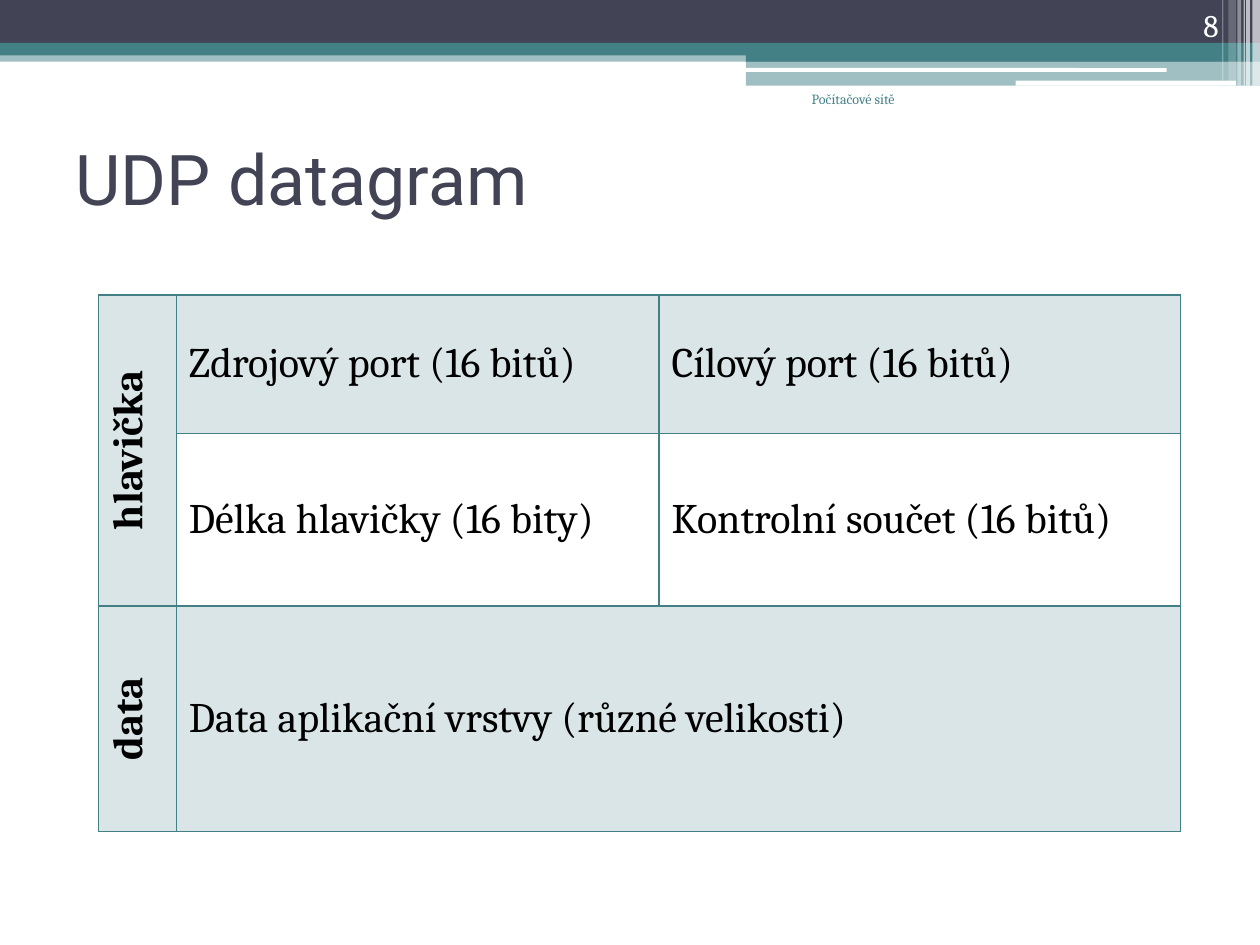
from dataclasses import dataclass

from lxml import etree
from pptx import Presentation, util as u
from pptx.dml.color import RGBColor
from pptx.enum import shapes, text
from pptx.oxml.ns import qn


@dataclass(frozen=True)
class Theme:
    """Colours, fonts and type sizes of the slide."""
    dark: str = "424456"
    teal: str = "438086"
    white: str = "FFFFFF"
    black: str = "000000"
    heading_font: str = "Roboto"
    body_font: str = "Cambria"
    title: int = 40
    cell: int = 24
    number: int = 18
    footer: int = 8


@dataclass(frozen=True)
class Box:
    """A rectangle on a grid of 100 columns and 75 rows."""
    left: float
    top: float
    width: float
    height: float

    def inner(self, left, top, width, height):
        """Return a box placed relative to this one."""
        return Box(self.left + left, self.top + top, width, height)

    def lengths(self):
        """Return left, top, width and height as slide lengths."""
        return [cells(n) for n in (self.left, self.top, self.width, self.height)]


THEME = Theme()
COLUMNS, ROWS = 100, 75
SLIDE_WIDTH = u.Inches(10)
RECT, ROUNDED = shapes.MSO_SHAPE.RECTANGLE, shapes.MSO_SHAPE.ROUNDED_RECTANGLE


def cells(count):
    """Convert grid cells to a slide length."""
    return u.Emu(round(SLIDE_WIDTH * count / COLUMNS))


def paint(fill, properties, colour, opacity=100):
    """Fill with a colour at the given opacity in percent."""
    fill.solid()
    fill.fore_color.rgb = RGBColor.from_string(colour)
    if opacity < 100:
        solid = properties.find(qn("a:solidFill"))
        etree.SubElement(solid[0], qn("a:alpha"), val=str(opacity * 1000))


def write(frame, words, size, colour, font=THEME.body_font, bold=False,
          align=text.PP_ALIGN.LEFT):
    """Write one formatted paragraph."""
    frame.text = words
    paragraph = frame.paragraphs[0]
    paragraph.alignment = align
    style = paragraph.runs[0].font
    style.name, style.size, style.bold = font, u.Pt(size), bold
    style.color.rgb = RGBColor.from_string(colour)


def add_band(slide, box, colour, opacity=100, outline=RECT):
    """Add one plain band of the header."""
    band = slide.shapes.add_shape(outline, *box.lengths())
    band.shadow.inherit = False
    band.line.fill.background()
    paint(band.fill, band.element.spPr, colour, opacity)


def add_header(slide, box):
    """Draw the layered bands and the pale stripes at their right end."""
    step = 59.2
    bands = [
        (0, 4, box.width, 0.9, THEME.teal, 50, RECT),
        (0, 0, box.width, 3.4, THEME.dark, 100, RECT),
        (0, 3.4, box.width, 1, THEME.teal, 100, RECT),
        (step, 3.9, box.width - step, 1, THEME.teal, 100, RECT),
        (step, 4.8, box.width - step, 2, THEME.teal, 50, RECT),
        (59.1, 5.4, 33.5, 0.3, THEME.white, 100, ROUNDED),
        (80.6, 6.4, 17.5, 0.4, THEME.white, 100, ROUNDED),
    ]
    stripes = [(99.4, 0.6, 6.8, 65), (98.9, 0.3, 6.8, 65), (98.7, 0.1, 6.8, 60),
               (98.2, 0.3, 6.8, 40), (97.5, 0.6, 6.4, 20), (97, 0.1, 6.4, 30)]
    bands += [(left, 0, width, height, THEME.white, opacity, RECT)
              for left, width, height, opacity in stripes]
    for left, top, width, height, colour, opacity, outline in bands:
        add_band(slide, box.inner(left, top, width, height), colour, opacity, outline)


def add_title(slide, box, words):
    """Move and format the title placeholder."""
    title = slide.shapes.title
    title.left, title.top, title.width, title.height = box.lengths()
    title.text_frame.vertical_anchor = text.MSO_ANCHOR.MIDDLE
    write(title.text_frame, words, THEME.title, THEME.dark, THEME.heading_font)


def add_label(slide, box, words, size, colour, anchor):
    """Add a small right-aligned label."""
    frame = slide.shapes.add_textbox(*box.lengths()).text_frame
    frame.word_wrap = True
    frame.vertical_anchor = anchor
    write(frame, words, size, colour, align=text.PP_ALIGN.RIGHT)


def add_borders(properties):
    """Rule all four sides of a table cell."""
    for place, side in enumerate(("lnL", "lnR", "lnT", "lnB")):
        line = etree.Element(qn(f"a:{side}"), w=str(u.Pt(1)))
        solid = etree.SubElement(line, qn("a:solidFill"))
        etree.SubElement(solid, qn("a:srgbClr"), val=THEME.teal)
        properties.insert(place, line)


def add_datagram(slide, box):
    """Lay out the datagram fields with upright section names."""
    widths, heights = (6.2, 38.3, 41.4), (11, 13.7, 17.9)
    fields = [("hlavička", "Zdrojový port (16 bitů)", "Cílový port (16 bitů)"),
              ("", "Délka hlavičky (16 bity)", "Kontrolní součet (16 bitů)"),
              ("data", "Data aplikační vrstvy (různé velikosti)", "")]
    table = slide.shapes.add_table(len(heights), len(widths), *box.lengths()).table
    for column, width in zip(table.columns, widths):
        column.width = cells(width)
    for row, height in zip(table.rows, heights):
        row.height = cells(height)
    table.cell(0, 0).merge(table.cell(1, 0))
    table.cell(2, 1).merge(table.cell(2, 2))
    for r, row in enumerate(fields):
        for c, words in enumerate(row):
            cell = table.cell(r, c)
            section = c == 0
            properties = cell._tc.get_or_add_tcPr()
            if section or r != 1:
                paint(cell.fill, properties, THEME.teal, 20)
            else:
                cell.fill.background()
            add_borders(properties)
            if section:
                properties.set("vert", "vert270")
            else:
                cell.vertical_anchor = text.MSO_ANCHOR.MIDDLE
            if words:
                align = text.PP_ALIGN.CENTER if section else text.PP_ALIGN.LEFT
                write(cell.text_frame, words, THEME.cell, THEME.black,
                      bold=section, align=align)


def main():
    """Build and save the slide."""
    deck = Presentation()
    deck.slide_width, deck.slide_height = SLIDE_WIDTH, cells(ROWS)
    slide = deck.slides.add_slide(deck.slide_layouts.get_by_name("Title Only"))
    add_header(slide, Box(0, 0, COLUMNS, 6.8))
    add_title(slide, Box(5, 9.4, 90, 9.4), "UDP datagram")
    add_label(slide, Box(57.5, 6.7, 14.5, 5), "Počítačové sítě",
              THEME.footer, THEME.teal, text.MSO_ANCHOR.TOP)
    add_label(slide, Box(89.4, 0, 8.3, 4), "8",
              THEME.number, THEME.white, text.MSO_ANCHOR.BOTTOM)
    add_datagram(slide, Box(7.8, 23.4, 85.9, 42.6))
    deck.save("out.pptx")


if __name__ == "__main__":
    main()
